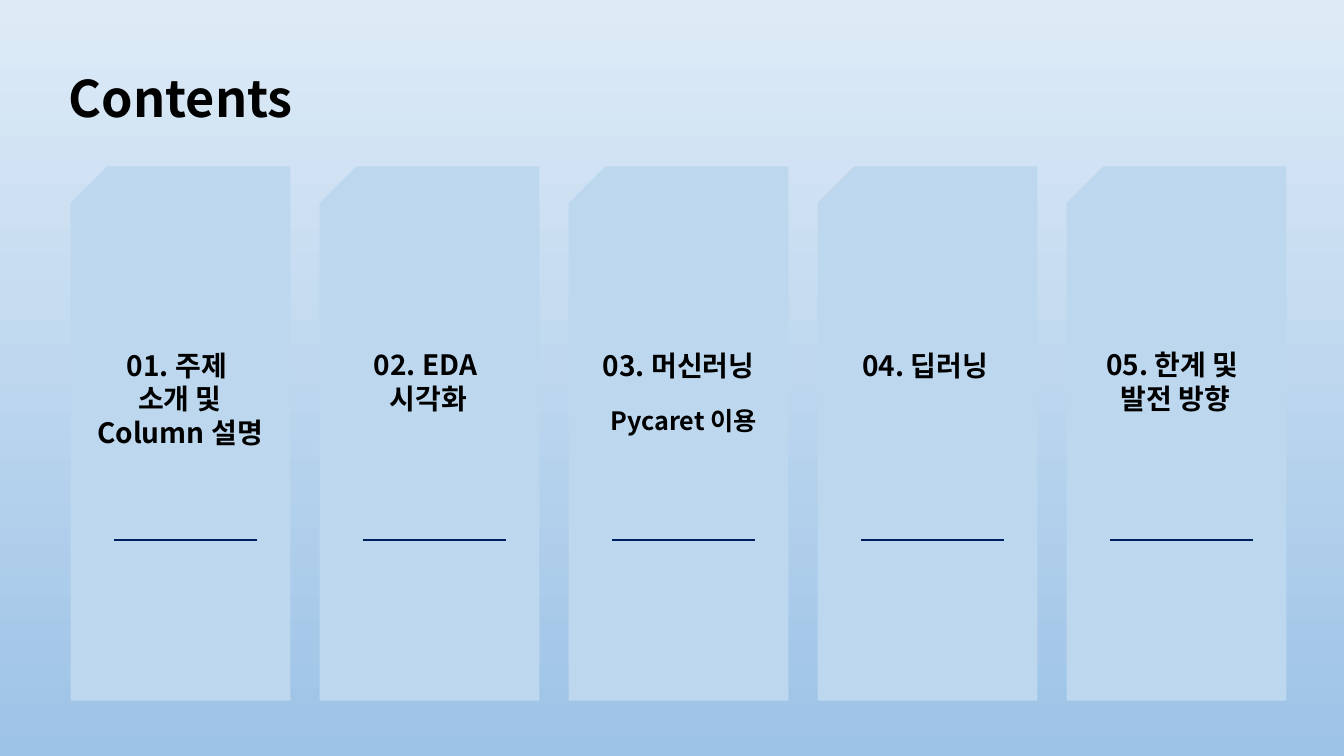
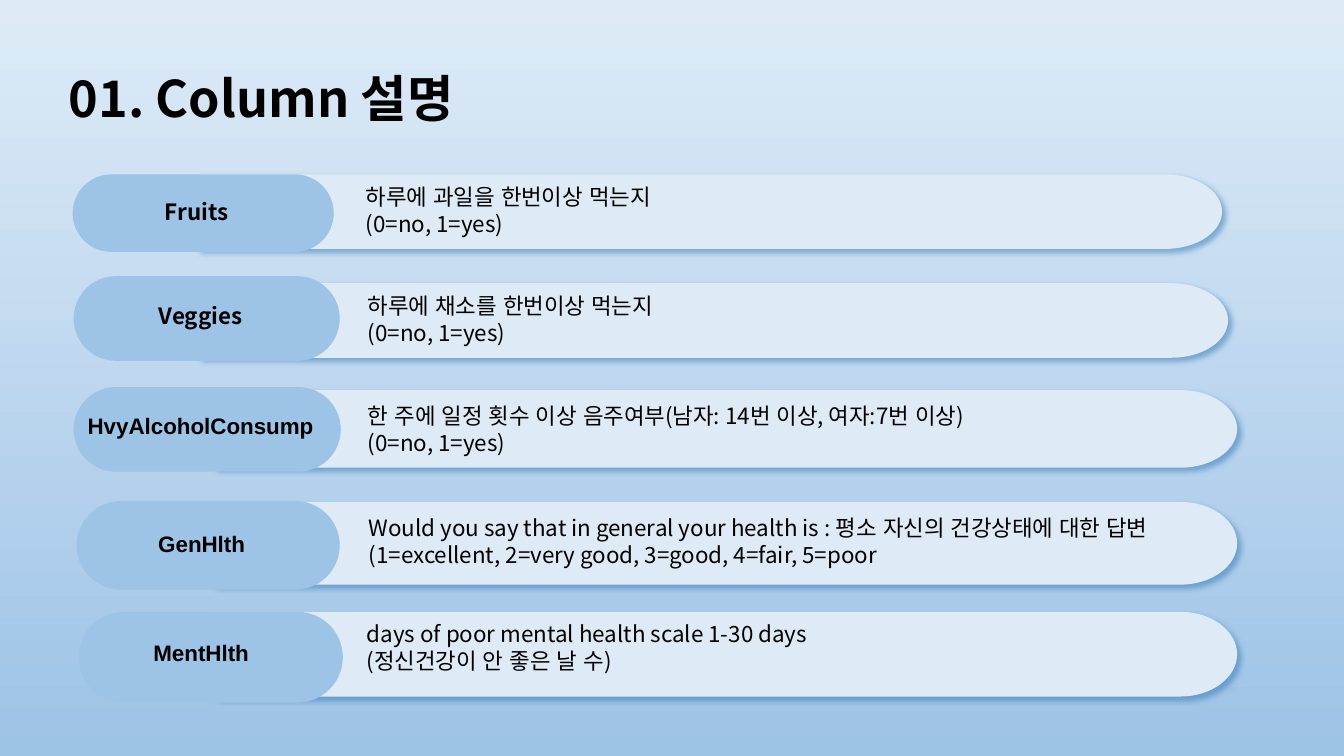
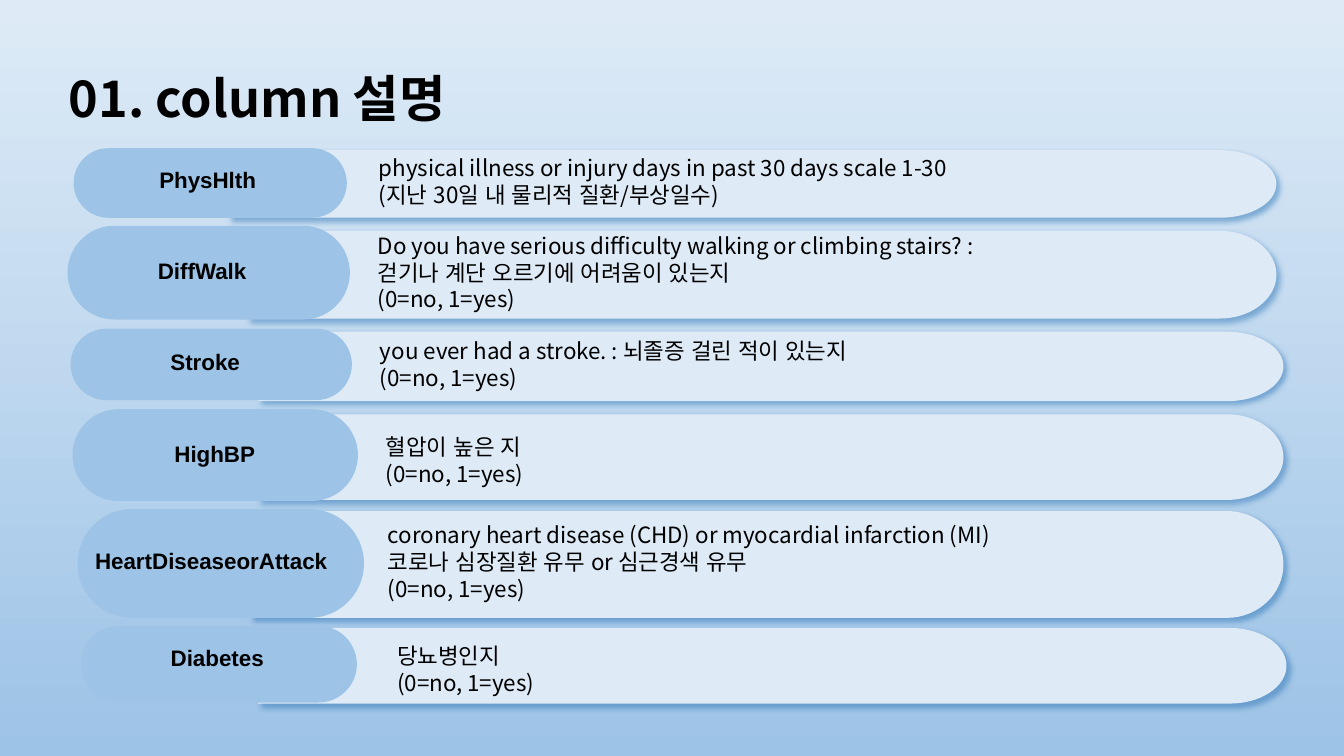
"""Build three slides that introduce the contents and the columns of a health data set."""
from dataclasses import dataclass
from typing import NamedTuple

import lxml.etree
import pptx
import pptx.dml.color
import pptx.enum.shapes
import pptx.enum.text
import pptx.oxml.ns
import pptx.presentation
import pptx.shapes.autoshape
import pptx.shapes.shapetree
import pptx.slide
import pptx.text.text
import pptx.util
from pptx.dml.color import RGBColor
from pptx.util import Inches

PALE = RGBColor(0xDE, 0xEB, 0xF7)
MID = RGBColor(0x9D, 0xC3, 0xE6)
CARD = RGBColor(0xBD, 0xD7, 0xEE)
NAVY = RGBColor(0x00, 0x20, 0x60)
SHADOW = RGBColor(0x2E, 0x75, 0xB6)
BLACK = RGBColor(0x00, 0x00, 0x00)
SANS = "Noto Sans CJK KR"
ARIAL = "Arial"
YES_NO = "(0=no, 1=yes)"

SLIDE_WIDTH, SLIDE_HEIGHT = 13.33, 7.5
CARD_LEFT, CARD_TOP, CARD_WIDTH, CARD_HEIGHT, CARD_STEP = 0.7, 1.65, 2.18, 5.3, 2.47
RULE_INSET, RULE_WIDTH, RULE_TOP = 0.43, 1.42, 5.36
CAP_RADIUS, NOTCH_RADIUS, NOTCH_INSET, CURVE = 0.56, 0.37, 0.04, 0.55

qn = pptx.oxml.ns.qn
SHAPE = pptx.enum.shapes.MSO_SHAPE
ALIGN = pptx.enum.text.PP_ALIGN
ANCHOR = pptx.enum.text.MSO_ANCHOR
Shapes = pptx.shapes.shapetree.SlideShapes | pptx.shapes.shapetree.GroupShapes


class Box(NamedTuple):
    """Left, top, width and height in inches."""

    left: float
    top: float
    width: float
    height: float

    def emu(self) -> list[pptx.util.Length]:
        """Return the four lengths for python-pptx."""
        return [Inches(v) for v in self]


@dataclass(frozen=True)
class Heading:
    """A text centred on a contents card."""

    box: Box
    lines: tuple[str, ...]
    size: int = 20


@dataclass(frozen=True)
class Column:
    """A data column: its name on a pill, its meaning on a plate."""

    name: str
    label: Box
    pill: Box
    plate: Box
    note: Box
    lines: tuple[str, ...]
    font: str = ARIAL


HEADINGS = (
    Heading(Box(0.78, 3.4, 2.01, 1.11), ("01. 주제 ", "소개 및", "Column 설명")),
    Heading(Box(3.16, 3.4, 2.18, 0.77), ("02. EDA ", "시각화")),
    Heading(Box(5.64, 3.4, 2.18, 0.44), ("03. 머신러닝",)),
    Heading(Box(5.9, 3.97, 1.76, 0.4), ("Pycaret 이용",), 18),
    Heading(Box(8.17, 3.4, 2.01, 0.44), ("04. 딥러닝",)),
    Heading(Box(10.51, 3.4, 2.3, 0.77), ("05. 한계 및 ", "발전 방향")),
)

HABITS = (
    Column("Fruits", Box(0.45, 1.91, 3, 0.38), Box(0.72, 1.73, 2.59, 0.77),
           Box(1.97, 1.73, 10.15, 0.74), Box(3.53, 1.77, 9.06, 0.64),
           ("하루에 과일을 한번이상 먹는지", YES_NO), SANS),
    Column("Veggies", Box(0.46, 2.95, 3.06, 0.37), Box(0.73, 2.74, 2.64, 0.84),
           Box(1.98, 2.81, 10.2, 0.74), Box(3.55, 2.85, 9.06, 0.91),
           ("하루에 채소를 한번이상 먹는지", YES_NO), SANS),
    Column("HvyAlcoholConsump", Box(0.61, 4.04, 2.76, 0.37), Box(0.73, 3.84, 2.65, 0.84),
           Box(2.12, 3.87, 10.15, 0.77), Box(3.55, 3.94, 7.55, 0.64),
           ("한 주에 일정 횟수 이상 음주여부(남자: 14번 이상, 여자:7번 이상)", YES_NO)),
    Column("GenHlth", Box(0.49, 5.21, 3.02, 0.37), Box(0.76, 4.97, 2.61, 0.88),
           Box(2.12, 4.98, 10.15, 0.82), Box(3.56, 5.05, 8.64, 0.64),
           ("Would you say that in general your health is : 평소 자신의 건강상태에 대한 답변",
            "(1=excellent, 2=very good, 3=good, 4=fair, 5=poor")),
    Column("MentHlth", Box(0.6, 6.29, 2.79, 0.37), Box(0.78, 6.07, 2.62, 0.9),
           Box(2.12, 6.07, 10.15, 0.84), Box(3.54, 6.1, 8.39, 0.64),
           ("days of poor mental health scale 1-30 days", "(정신건강이 안 좋은 날 수)")),
)

ILLNESSES = (
    Column("PhysHlth", Box(0.49, 1.6, 3.14, 0.37), Box(0.73, 1.47, 2.71, 0.69),
           Box(2.26, 1.49, 10.4, 0.67), Box(3.66, 1.48, 8.78, 0.64),
           ("physical illness or injury days in past 30 days scale 1-30",
            "(지난 30일 내 물리적 질환/부상일수)")),
    Column("DiffWalk", Box(0.38, 2.5, 3.25, 0.37), Box(0.67, 2.24, 2.8, 0.93),
           Box(2.45, 2.29, 10.21, 0.87), Box(3.65, 2.25, 8.97, 1.18),
           ("Do you have serious difficulty walking or climbing stairs? :",
            "걷기나 계단 오르기에 어려움이 있는지", YES_NO)),
    Column("Stroke", Box(0.58, 3.4, 2.91, 0.37), Box(0.7, 3.26, 2.79, 0.71),
           Box(2.56, 3.29, 10.17, 0.69), Box(3.67, 3.3, 7.55, 0.91),
           ("you ever had a stroke. : 뇌졸증 걸린 적이 있는지", YES_NO)),
    Column("HighBP", Box(0.49, 4.31, 3.28, 0.37), Box(0.72, 4.06, 2.83, 0.91),
           Box(2.56, 4.11, 10.17, 0.85), Box(3.73, 4.25, 8.64, 0.91),
           ("혈압이 높은 지", YES_NO)),
    Column("HeartDiseaseorAttack", Box(0.58, 5.38, 3.03, 0.37), Box(0.77, 5.05, 2.84, 1.08),
           Box(2.47, 5.07, 10.26, 1.06), Box(3.75, 5.12, 8.76, 1.18),
           ("coronary heart disease (CHD) or myocardial infarction (MI)",
            "코로나 심장질환 유무 or 심근경색 유무", YES_NO)),
    Column("Diabetes", Box(0.57, 6.34, 3.17, 0.37), Box(0.8, 6.21, 2.74, 0.76),
           Box(2.56, 6.23, 10.2, 0.75), Box(3.84, 6.32, 8.78, 0.91),
           ("당뇨병인지", YES_NO)),
)


def add_run(p: pptx.text.text._Paragraph, text: str, size: int, bold: bool, font: str) -> None:
    """Add a black run with its Latin and East Asian fonts."""
    r = p.add_run()
    r.text = text
    r.font.name = font
    r.font.size = pptx.util.Pt(size)
    r.font.bold = bold
    r.font.color.rgb = BLACK
    ea = lxml.etree.SubElement(r.font._element, qn("a:ea"))
    ea.set("typeface", SANS if bold else ARIAL)


def add_text(shapes: Shapes, box: Box, lines: tuple[str, ...], size: int = 16,
             centred: bool = False, font: str = SANS) -> None:
    """Add a text box; centred text is bold and anchored in the middle."""
    tf = shapes.add_textbox(*box.emu()).text_frame
    tf.word_wrap = True
    tf.auto_size = pptx.enum.text.MSO_AUTO_SIZE.SHAPE_TO_FIT_TEXT
    tf.vertical_anchor = ANCHOR.MIDDLE if centred else ANCHOR.TOP
    for i, line in enumerate(lines):
        p = tf.add_paragraph() if i else tf.paragraphs[0]
        p.alignment = ALIGN.CENTER if centred else ALIGN.LEFT
        add_run(p, line, size, centred, font)


def paint(sp: pptx.shapes.autoshape.Shape, color: RGBColor) -> None:
    """Give a shape a plain fill without line or shadow."""
    sp.shadow.inherit = False
    sp.fill.solid()
    sp.fill.fore_color.rgb = color
    sp.line.fill.background()


def add_shadow(sp: pptx.shapes.autoshape.Shape) -> None:
    """Cast a soft blue shadow to the lower right."""
    effects = sp.element.spPr.find(qn("a:effectLst"))
    shadow = lxml.etree.SubElement(
        effects, qn("a:outerShdw"), blurRad=str(pptx.util.Pt(4)), dist=str(pptx.util.Pt(3)),
        dir="2700000", algn="tl", rotWithShape="0")
    color = lxml.etree.SubElement(shadow, qn("a:srgbClr"), val=str(SHADOW))
    lxml.etree.SubElement(color, qn("a:alpha"), val="50000")


def half_ellipse(x: float, y: float, rx: float, ry: float) -> list[tuple[float, float]]:
    """Return the start and the control points of two curves; a negative ry runs upwards."""
    kx, ky = rx * CURVE, ry * CURVE
    return [(x, y - ry), (x + kx, y - ry), (x + rx, y - ky), (x + rx, y),
            (x + rx, y + ky), (x + kx, y + ry), (x, y + ry)]


def bend(sp: pptx.shapes.autoshape.Shape, starts: tuple[int, ...]) -> None:
    """Turn three straight segments from each start index into one Bézier curve."""
    segments = list(sp.element.iter(qn("a:lnTo")))
    for start in starts:
        curve = lxml.etree.Element(qn("a:cubicBezTo"))
        segments[start].addprevious(curve)
        for segment in segments[start:start + 3]:
            curve.append(segment[0])
            segment.getparent().remove(segment)


def add_plate(shapes: Shapes, box: Box) -> None:
    """Add a plate with a rounded right end and a notch on the left."""
    left, top, width, height = box
    middle = top + height / 2
    cap = half_ellipse(left + width - CAP_RADIUS, middle, CAP_RADIUS, height / 2)
    notch = half_ellipse(left + NOTCH_INSET, middle + 0.01, NOTCH_RADIUS, -height * 0.32)
    outline = [*cap, (left, top + height), (left, notch[0][1]), *notch, (left, notch[-1][1])]
    builder = shapes.build_freeform(Inches(left), Inches(top), scale=1.0)
    builder.add_line_segments([(Inches(x), Inches(y)) for x, y in outline], close=True)
    sp = builder.convert_to_shape()
    bend(sp, (1, 4, 10, 13))
    paint(sp, PALE)
    add_shadow(sp)


def add_card(shapes: Shapes, left: float) -> None:
    """Add a card with a cut corner and a rule across it."""
    box = Box(left, CARD_TOP, CARD_WIDTH, CARD_HEIGHT)
    sp = shapes.add_shape(SHAPE.SNIP_ROUND_RECTANGLE, *box.emu())
    sp.adjustments[0] = 0
    sp.adjustments[1] = 0.167
    sp.element.spPr.find(qn("a:xfrm")).set("flipH", "1")
    paint(sp, CARD)
    start, y = left + RULE_INSET, Inches(RULE_TOP)
    rule = shapes.add_connector(pptx.enum.shapes.MSO_CONNECTOR.STRAIGHT,
                                Inches(start), y, Inches(start + RULE_WIDTH), y)
    rule.line.color.rgb = NAVY
    rule.line.width = pptx.util.Pt(1.5)
    lxml.etree.SubElement(rule.element.spPr, qn("a:effectLst"))


def add_column(shapes: Shapes, column: Column) -> None:
    """Add the plate, pill and texts of one data column."""
    add_plate(shapes, column.plate)
    group = shapes.add_group_shape().shapes
    pill = group.add_shape(SHAPE.ROUNDED_RECTANGLE, *column.pill.emu())
    pill.adjustments[0] = 0.5
    paint(pill, MID)
    add_text(group, column.label, (column.name,), centred=True, font=column.font)
    add_text(shapes, column.note, column.lines)


def add_slide(prs: pptx.presentation.Presentation, title: str) -> pptx.slide.Slide:
    """Add a title-only slide with its title in place."""
    s = prs.slides.add_slide(prs.slide_layouts.get_by_name("Title Only"))
    sp = s.shapes.title
    sp.left, sp.top, sp.width, sp.height = Box(0.58, 0.53, 12.18, 0.94).emu()
    tf = sp.text_frame
    tf.vertical_anchor = ANCHOR.MIDDLE
    p = tf.paragraphs[0]
    p.alignment = ALIGN.LEFT
    p.line_spacing = 0.9
    add_run(p, title, 36, True, SANS)
    return s


def shade_master(prs: pptx.presentation.Presentation, s: pptx.slide.Slide) -> None:
    """Draw the shaded backdrop and move it behind everything on the master."""
    sp = s.shapes.add_shape(SHAPE.RECTANGLE, *Box(0, 0, SLIDE_WIDTH, SLIDE_HEIGHT).emu())
    paint(sp, PALE)
    sp.fill.gradient()
    sp.fill.gradient_angle = 270
    for stop, color, position in zip(sp.fill.gradient_stops, (PALE, MID), (0, 1)):
        stop.color.rgb = color
        stop.position = position
    sp.element.nvSpPr.cNvPr.set("id", "20")
    prs.slide_master.shapes.element.insert(2, sp.element)


def main() -> None:
    """Build and save the slides."""
    prs = pptx.Presentation()
    prs.slide_width, prs.slide_height = Inches(SLIDE_WIDTH), Inches(SLIDE_HEIGHT)

    s = add_slide(prs, "Contents")
    shade_master(prs, s)
    for i in range(5):
        add_card(s.shapes, CARD_LEFT + i * CARD_STEP)
    for heading in HEADINGS:
        add_text(s.shapes, heading.box, heading.lines, heading.size, centred=True)

    for title, columns in (("01. Column 설명", HABITS), ("01. column 설명", ILLNESSES)):
        s = add_slide(prs, title)
        for column in columns:
            add_column(s.shapes, column)

    prs.save("out.pptx")


if __name__ == "__main__":
    main()
